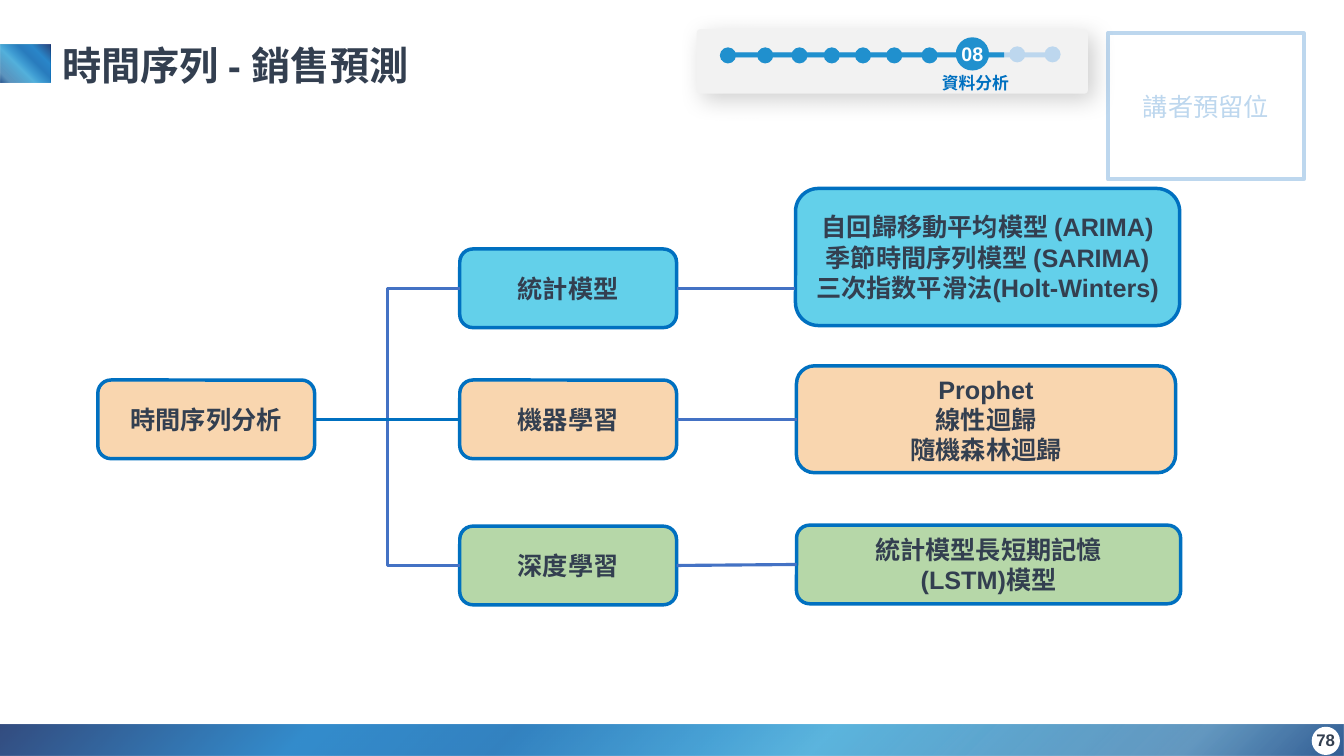
from lxml import etree
from pptx import Presentation
from pptx.dml.color import RGBColor
from pptx.enum.shapes import MSO_CONNECTOR, MSO_SHAPE
from pptx.enum.text import MSO_ANCHOR, PP_ALIGN
from pptx.oxml import parse_xml
from pptx.oxml.ns import nsdecls, qn
from pptx.util import Inches, Pt

RECT, ROUND, OVAL = MSO_SHAPE.RECTANGLE, MSO_SHAPE.ROUNDED_RECTANGLE, MSO_SHAPE.OVAL
STRAIGHT, ELBOW = MSO_CONNECTOR.STRAIGHT, MSO_CONNECTOR.ELBOW
LEFT, CENTER, RIGHT = PP_ALIGN.LEFT, PP_ALIGN.CENTER, PP_ALIGN.RIGHT
TOP, MIDDLE = MSO_ANCHOR.TOP, MSO_ANCHOR.MIDDLE
LEFT_SIDE, RIGHT_SIDE = 1, 3

COLORS = {
    "white": "FFFFFF", "ink": "333F50", "edge": "0070C0", "link": "4472C4",
    "cyan": "63D0EA", "peach": "F9D6AF", "green": "B6D7A8",
    "panel": "F2F2F2", "done": "2090CE", "todo": "BDD7EE",
}
STOPS = [(0, "002060", 100), (23, "0070C0", 100), (38, "0063B1", 100),
         (53, "1C8CCC", 100), (61, "34A3D6", 100), (88, "1766A2", 83),
         (100, "003478", 100)]


def color(name):
    return RGBColor.from_string(COLORS[name])


def write(shape, text, size=18, font="Arial", ink="ink", bold=True,
          align=CENTER, anchor=MIDDLE, pad=None, space=None):
    frame = shape.text_frame
    frame.word_wrap = True
    frame.vertical_anchor = anchor
    if pad is not None:
        frame.margin_top = frame.margin_bottom = Inches(pad)
    for i, line in enumerate(text.split("\n")):
        para = frame.add_paragraph() if i else frame.paragraphs[0]
        para.alignment = align
        para.line_spacing = space
        run = para.add_run()
        run.text = line
        run.font.name = font
        run.font.size = Pt(size)
        run.font.bold = bold
        run.font.color.rgb = color(ink)


def label(slide, box, text, **style):
    write(slide.shapes.add_textbox(*map(Inches, box)), text, **style)


def block(slide, kind, box, fill=None, line=None, width=2.5, alpha=None):
    shape = slide.shapes.add_shape(kind, *map(Inches, box))
    shape.shadow.inherit = False
    if fill:
        shape.fill.solid()
        shape.fill.fore_color.rgb = color(fill)
    else:
        shape.fill.background()
    if line:
        shape.line.color.rgb = color(line)
        shape.line.width = Pt(width)
    else:
        shape.line.fill.background()
    if alpha:
        tint = next(shape._element.spPr.iter(qn("a:srgbClr")))
        etree.SubElement(tint, qn("a:alpha")).set("val", str(alpha * 1000))
    return shape


def blend(shape):
    stops = "".join(
        f'<a:gs pos="{pos * 1000}"><a:srgbClr val="{tint}">'
        f'<a:alpha val="{alpha * 1000}"/></a:srgbClr></a:gs>'
        for pos, tint, alpha in STOPS)
    grad = parse_xml(
        f'<a:gradFill {nsdecls("a")} rotWithShape="1"><a:gsLst>{stops}</a:gsLst>'
        '<a:lin ang="2700000" scaled="0"/></a:gradFill>')
    props = shape._element.spPr
    props.replace(props.find(qn("a:noFill")), grad)


def shade(shape):
    effects = shape._element.spPr.find(qn("a:effectLst"))
    effects.append(parse_xml(
        f'<a:outerShdw {nsdecls("a")} blurRad="{Pt(17)}" dist="{Pt(6)}" '
        'dir="2700000" algn="tl" rotWithShape="0"><a:srgbClr val="000000">'
        '<a:alpha val="18000"/></a:srgbClr></a:outerShdw>'))


def node(slide, box, text, fill):
    shape = block(slide, ROUND, box, fill, "edge")
    shape.adjustments[0] = 0.167
    write(shape, text, pad=0.1)
    return shape


def join(slide, start, end, kind=STRAIGHT, tint="link"):
    line = slide.shapes.add_connector(kind, 0, 0, 0, 0)
    line.begin_connect(start, RIGHT_SIDE)
    line.end_connect(end, LEFT_SIDE)
    line.line.color.rgb = color(tint)
    line.line.width = Pt(2.25)
    etree.SubElement(line._element.spPr, qn("a:effectLst"))


def frame(slide):
    seat = block(slide, RECT, (10.99, 0.33, 1.94, 1.45), line="todo", width=3)
    write(seat, "講者預留位", ink="todo", bold=False)
    blend(block(slide, RECT, (0, 7.19, 13.33, 0.31)))
    mark = block(slide, RECT, (0.06, 0.38, 0.38, 0.5))
    mark.rotation = 90
    blend(mark)
    block(slide, RECT, (0, 7.19, 13.33, 0.31), "white", alpha=20)
    block(slide, RECT, (0, 0.44, 0.5, 0.38), "white", alpha=16)
    block(slide, OVAL, (13.01, 7.21, 0.28, 0.28), "white")
    label(slide, (10.34, 7.14, 3, 0.4), "78", size=12, align=RIGHT)
    label(slide, (0.52, 0.36, 5.87, 0.57), "時間序列 - 銷售預測",
          size=28, align=LEFT, anchor=TOP)


def tree(slide):
    root = node(slide, (0.97, 3.77, 2.15, 0.78), "時間序列分析", "peach")
    rows = [
        (2.47, "統計模型", "cyan", (7.89, 1.87, 3.81, 1.36),
         "自回歸移動平均模型 (ARIMA)\n季節時間序列模型 (SARIMA)\n"
         "三次指数平滑法(Holt-Winters)", ELBOW),
        (5.22, "深度學習", "green", (7.9, 5.21, 3.81, 0.78),
         "統計模型長短期記憶\n(LSTM)模型", ELBOW),
        (3.77, "機器學習", "peach", (7.9, 3.63, 3.76, 1.06),
         "Prophet\n線性迴歸\n隨機森林迴歸", STRAIGHT),
    ]
    for top, name, fill, box, models, kind in rows:
        branch = node(slide, (4.56, top, 2.15, 0.78), name, fill)
        leaf = node(slide, box, models, fill)
        join(slide, root, branch, kind, "edge" if kind == STRAIGHT else "link")
        if name == "統計模型":
            y = branch.top + branch.height // 2
            line = slide.shapes.add_connector(
                STRAIGHT, branch.left + branch.width, y, leaf.left, y)
            line.begin_connect(branch, RIGHT_SIDE)
            line.end_x, line.end_y = leaf.left, y
            line.line.color.rgb = color("link")
            line.line.width = Pt(2.25)
            etree.SubElement(line._element.spPr, qn("a:effectLst"))
        else:
            join(slide, branch, leaf)


def steps(slide):
    panel = block(slide, ROUND, (6.91, 0.29, 3.88, 0.64), "panel")
    panel.adjustments[0] = 0.055
    shade(panel)
    block(slide, RECT, (7.27, 0.52, 3.23, 0.05), "todo")
    block(slide, RECT, (7.24, 0.52, 2.72, 0.05), "done")
    for x in (7.14, 7.51, 7.85, 8.17, 8.48, 8.79, 9.14):
        block(slide, OVAL, (x, 0.47, 0.16, 0.16), "done")
    for x in (10.01, 10.36):
        block(slide, OVAL, (x, 0.46, 0.16, 0.16), "todo")
    block(slide, OVAL, (9.48, 0.37, 0.33, 0.33), "done")
    label(slide, (8.98, 0.39, 1.33, 0.51), "08", size=14, ink="white",
          anchor=TOP, space=0.9)
    label(slide, (9.22, 0.69, 0.91, 0.35), "資料分析", size=12,
          font="Noto Sans CJK SC", ink="edge", anchor=TOP, space=0.9)


def main():
    deck = Presentation()
    deck.slide_width, deck.slide_height = Inches(13.33), Inches(7.5)
    slide = deck.slides.add_slide(deck.slide_layouts[6])
    frame(slide)
    tree(slide)
    steps(slide)
    deck.save("out.pptx")


if __name__ == "__main__":
    main()
